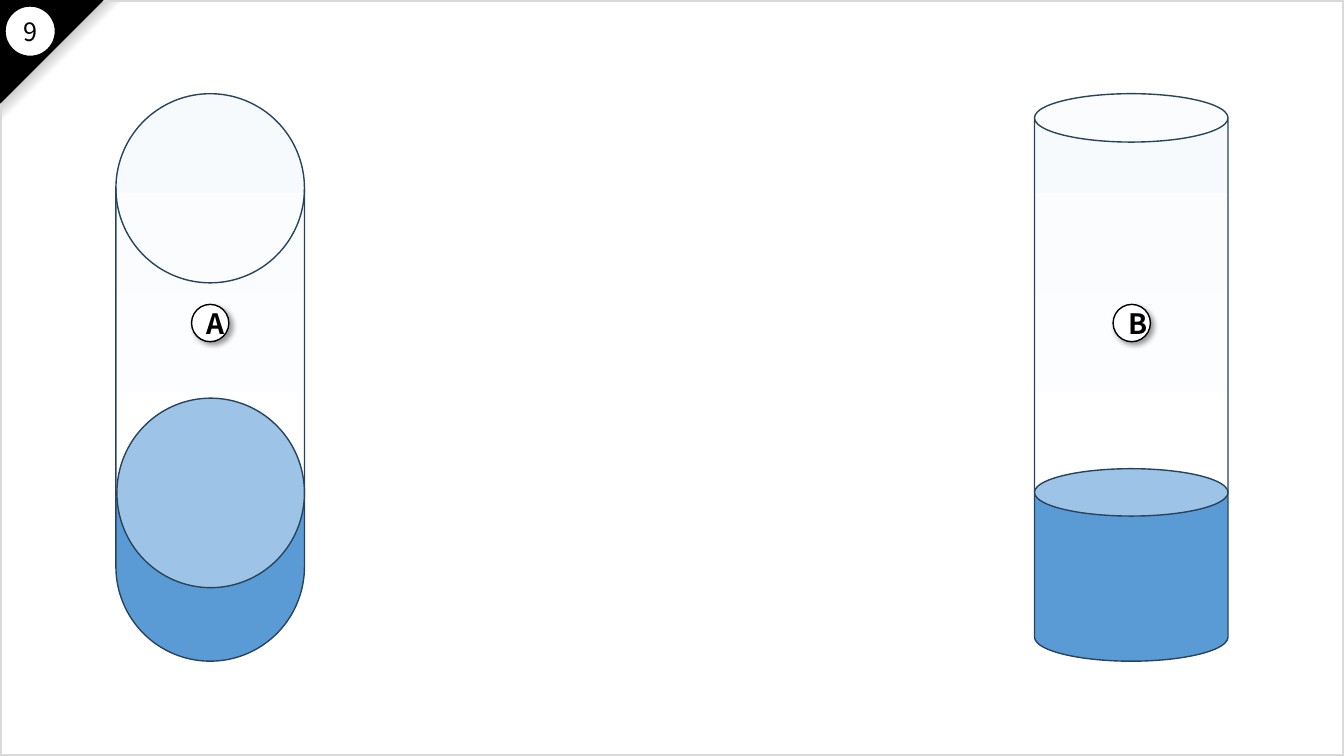
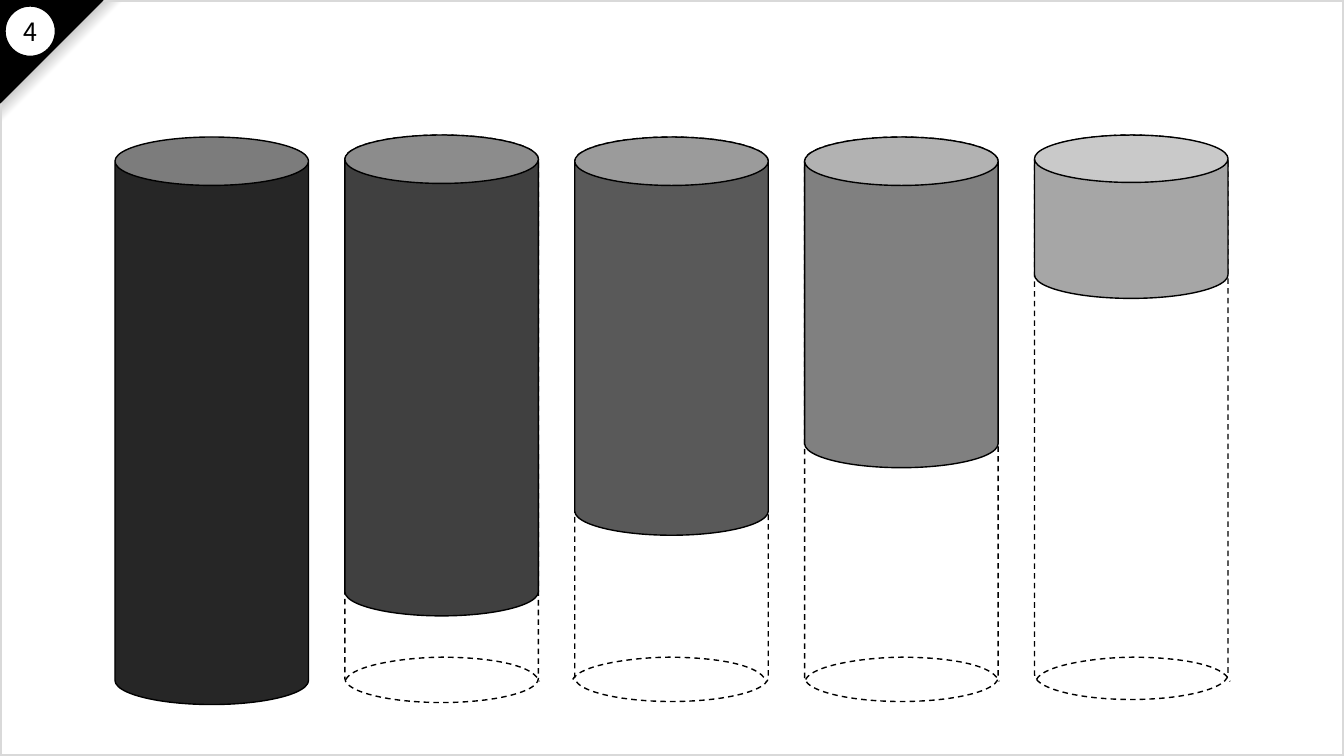
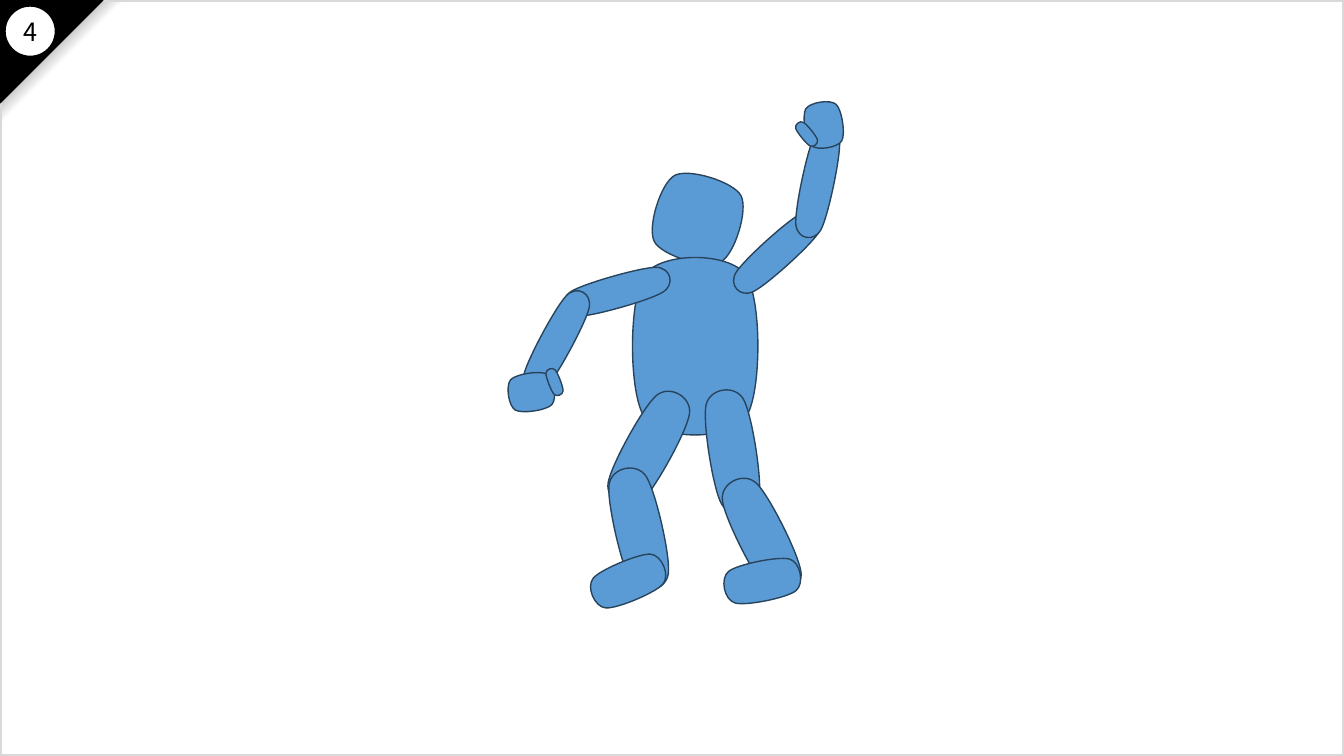
import pptx
import pptx.dml.color
import pptx.enum.dml
import pptx.enum.shapes
import pptx.enum.text
import pptx.oxml
import pptx.oxml.ns
import pptx.util
from lxml import etree

Inches = pptx.util.Inches
PRESET = pptx.enum.shapes.MSO_SHAPE
qn = pptx.oxml.ns.qn

FONT = "Noto Sans CJK JP"
COLORS = {
    "black": "000000",
    "white": "FFFFFF",
    "frame": "D9D9D9",
    "fold": "808080",
    "glass": "F7FAFD",
    "water": "5B9BD5",
    "surface": "9DC3E6",
    "outline": "28445D",
    "gray1": "262626",
    "gray2": "404040",
    "gray3": "595959",
    "gray4": "808080",
    "gray5": "A6A6A6",
}
FOLD_SHADE = (135, [(0, "white"), (50, "white"), (70, "fold"), (100, "black")])
FILLED_GLASS = (90, [(0, "glass"), (70, "white"), (70, "water"), (100, "water")])

ROUNDED_OUTLINE = (
    (0.1, 0.1),
    [
        ((-0.03, 0.23), (-0.03, 0.77), (0.1, 0.9)),
        ((0.23, 1.03), (0.77, 1.03), (0.9, 0.9)),
        ((1.03, 0.77), (1.03, 0.23), (0.9, 0.1)),
        ((0.77, -0.03), (0.23, -0.03), (0.1, 0.1)),
    ],
)
BASE_RIM = (
    (0, 0.92),
    [
        ((0.04, 0.29), (0.33, 0), (0.5, 0)),
        ((0.66, 0), (0.96, 0.17), (1, 1)),
    ],
)


def rgb(color):
    """Return the named colour as an RGB value."""
    return pptx.dml.color.RGBColor.from_string(COLORS[color])


def add_color(parent, color):
    """Append a colour element to an XML parent."""
    return etree.SubElement(parent, qn("a:srgbClr"), val=COLORS[color])


def fill_gradient(shape, angle, stops):
    """Fill a shape with a linear gradient of any number of stops."""
    shape.fill.gradient()
    gradient = shape.element.spPr.find(qn("a:gradFill"))
    stop_list = gradient.find(qn("a:gsLst"))
    for old_stop in list(stop_list):
        stop_list.remove(old_stop)
    for position, color in stops:
        add_color(etree.SubElement(stop_list, qn("a:gs"), pos=str(position * 1000)), color)
    gradient.find(qn("a:lin")).set("ang", str(angle * 60000))


def paint(shape, fill=None, line=None, width=1, dashed=False):
    """Set fill and line of a shape and switch its shadow off."""
    shape.shadow.inherit = False
    if fill is None:
        shape.fill.background()
    elif isinstance(fill, tuple):
        fill_gradient(shape, *fill)
    else:
        shape.fill.solid()
        shape.fill.fore_color.rgb = rgb(fill)
    if line is None:
        shape.line.fill.background()
        return
    shape.line.color.rgb = rgb(line)
    shape.line.width = pptx.util.Pt(width)
    if dashed:
        shape.line.dash_style = pptx.enum.dml.MSO_LINE.DASH


def add_preset(slide, preset, box, rotation=0, adjust=None, **look):
    """Add a painted preset shape."""
    shape = slide.shapes.add_shape(preset, *map(Inches, box))
    shape.rotation = rotation
    if adjust is not None:
        shape.adjustments[0] = adjust
    paint(shape, **look)
    return shape


def trace_curves(shape, outline, close):
    """Replace the straight segments of a freeform with cubic curves."""
    start, curves = outline
    trace = next(shape.element.iter(qn("a:path")))
    for segment in list(trace):
        trace.remove(segment)
    trace.set("w", "1000")
    trace.set("h", "1000")
    for tag, points in [("a:moveTo", [start])] + [("a:cubicBezTo", curve) for curve in curves]:
        segment = etree.SubElement(trace, qn(tag))
        for x, y in points:
            etree.SubElement(segment, qn("a:pt"), x=str(round(x * 1000)), y=str(round(y * 1000)))
    if close:
        etree.SubElement(trace, qn("a:close"))


def add_curve(slide, outline, box, rotation=0, close=True, **look):
    """Add a painted freeform that follows a curved outline."""
    left, top, width, height = map(Inches, box)
    builder = slide.shapes.build_freeform(left, top)
    builder.add_line_segments([(left + width, top + height)], close=close)
    shape = builder.convert_to_shape()
    trace_curves(shape, outline, close)
    shape.rotation = rotation
    paint(shape, **look)


def write_text(shape, text, size=18, bold=False, color="black"):
    """Write one centred line of text with its format."""
    paragraph = shape.text_frame.paragraphs[0]
    paragraph.alignment = pptx.enum.text.PP_ALIGN.CENTER
    run = paragraph.add_run()
    run.text = text
    run.font.name = FONT
    run.font.size = pptx.util.Pt(size)
    run.font.bold = bold
    run.font.color.rgb = rgb(color)


def add_letter_badge(slide, letter, left):
    """Add a white disc with a letter and a soft shadow."""
    badge = add_preset(slide, PRESET.OVAL, (left, 3.02, 0.37, 0.37), fill="white", line="black")
    effects = badge.element.spPr.find(qn("a:effectLst"))
    shadow = etree.SubElement(
        effects, qn("a:outerShdw"), blurRad=str(pptx.util.Pt(4)), dist=str(pptx.util.Pt(3)),
        dir=str(45 * 60000), algn="tl", rotWithShape="0")
    etree.SubElement(add_color(shadow, "black"), qn("a:alpha"), val="40000")
    write_text(badge, letter, size=20, bold=True)


def decorate_layout(layout, slide):
    """Draw the frame and folded corner and move them to the layout."""
    for placeholder in list(layout.placeholders):
        layout.shapes.element.remove(placeholder.element)
    corner = PRESET.RIGHT_TRIANGLE
    for decoration in (
        add_preset(slide, corner, (0, 0, 1.23, 1.23), 90, fill=FOLD_SHADE),
        add_preset(slide, PRESET.RECTANGLE, (0, 0, 13.33, 7.5), line="frame", width=3),
        add_preset(slide, corner, (0, 0, 1.02, 1.02), 90, fill="black", line="black"),
        add_preset(slide, PRESET.OVAL, (0.05, 0.06, 0.5, 0.5), fill="white", line="black"),
    ):
        layout.shapes.element.append(decoration.element)


def add_number(slide, number):
    """Write the number in the corner disc."""
    box = slide.shapes.add_textbox(*map(Inches, (0.12, 0.11, 0.36, 0.4)))
    box.text_frame.word_wrap = False
    box.text_frame.auto_size = pptx.enum.text.MSO_AUTO_SIZE.SHAPE_TO_FIT_TEXT
    write_text(box, number)


def draw_glasses(slide):
    """Draw two partly filled glasses with their letters."""
    glasses = (
        ("A", PRESET.FLOWCHART_MAGNETIC_DISK, (1.15, 0.93, 1.87, 5.63), 1.9, (1.16, 3.95, 1.86, 1.88)),
        ("B", PRESET.CAN, (10.26, 0.93, 1.92, 5.63), 11.04, (10.26, 4.65, 1.92, 0.47)),
    )
    for letter, preset, glass, badge_left, surface in glasses:
        add_preset(slide, preset, glass, fill=FILLED_GLASS, line="outline")
        add_letter_badge(slide, letter, badge_left)
        add_preset(slide, PRESET.OVAL, surface, fill="surface", line="outline")


def draw_cylinders(slide):
    """Draw five shrinking cylinders inside dashed full-height ones."""
    cylinders = (
        ("gray1", 1.36, 5.63, 0.25, None, None, None),
        ("gray2", 1.34, 4.77, 0.25, 5.63, 0.25, 3.43),
        ("gray3", 1.36, 3.95, 0.25, 5.6, 0.25, 5.68),
        ("gray4", 1.36, 3.28, 0.25, 5.6, 0.25, 7.99),
        ("gray5", 1.34, 1.62, 0.29, 5.6, 0.26, 10.28),
    )
    for index, (color, top, height, rim, full_height, full_rim, base_left) in enumerate(cylinders):
        left = 1.14 + 2.28 * index
        if full_height:
            add_preset(slide, PRESET.CAN, (left, top, 1.92, full_height),
                       adjust=full_rim, line="black", dashed=True)
            add_curve(slide, BASE_RIM, (base_left, 6.52, 1.92, 0.24),
                      close=False, line="black", dashed=True)
        add_preset(slide, PRESET.CAN, (left, top, 1.92, height), adjust=rim, fill=color, line="black")


def draw_figure(slide):
    """Draw a waving figure from rounded, rotated body parts."""
    head, torso = (0.86, 0.86), (1.25, 1.77)
    upper_arm, forearm, hand, thumb = (0.32, 1.09), (0.32, 1.11), (0.38, 0.46), (0.12, 0.28)
    leg, foot = (0.47, 1.24), (0.4, 0.77)
    body_parts = (
        (head, 6.49, 1.74, 17.1),
        (torso, 6.27, 2.55, 0),
        (upper_arm, 7.55, 1.96, 47.9),
        (forearm, 7.95, 1.26, 11.9),
        (hand, 7.98, 1.01, 351.2),
        (thumb, 7.94, 1.19, 321),
        (upper_arm, 5.96, 2.35, 74.1),
        (forearm, 5.36, 2.83, 28.3),
        (hand, 5.08, 3.66, 261.5),
        (thumb, 5.44, 3.65, 339),
        (leg, 6.2, 3.83, 28.8),
        (leg, 7.03, 3.86, 351.1),
        (leg, 6.1, 4.63, 347.1),
        (leg, 7.32, 4.7, 333.4),
        (foot, 6.03, 5.38, 67.3),
        (foot, 7.36, 5.38, 78.6),
    )
    for size, left, top, rotation in body_parts:
        add_curve(slide, ROUNDED_OUTLINE, (left, top, *size), rotation, fill="water", line="outline")


def main():
    """Build the three slides and save them."""
    deck = pptx.Presentation()
    deck.slide_width, deck.slide_height = Inches(13.33), Inches(7.5)
    layout = deck.slide_layouts[6]
    for number, draw in (("9", draw_glasses), ("4", draw_cylinders), ("4", draw_figure)):
        slide = deck.slides.add_slide(layout)
        if len(deck.slides) == 1:
            decorate_layout(layout, slide)
        draw(slide)
        add_number(slide, number)
    deck.save("out.pptx")


if __name__ == "__main__":
    main()
